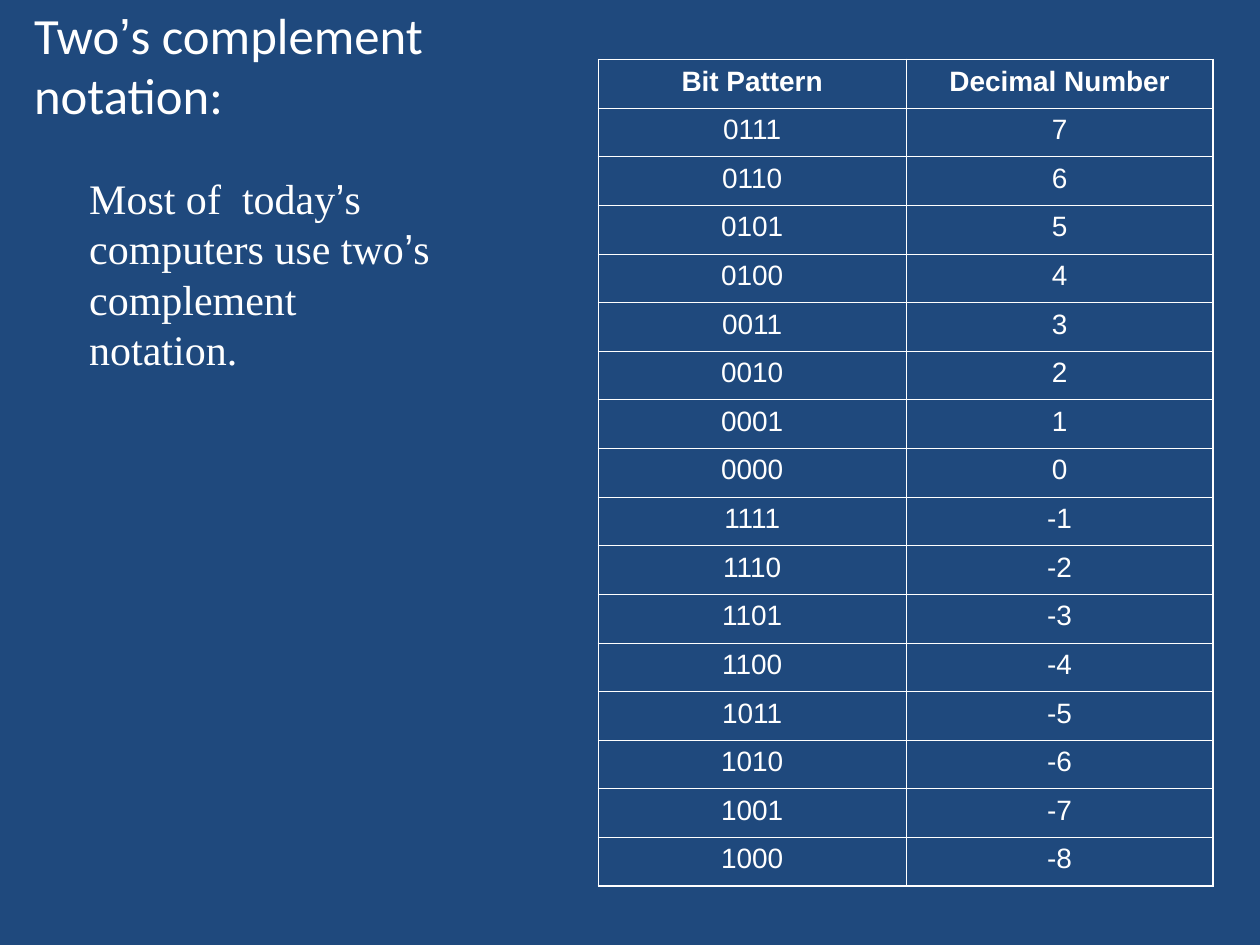
from pptx import Presentation, util as u
from pptx.dml import color
from pptx.enum import text
from pptx.oxml import ns
from lxml import etree

HUES = {"back": "1F497D", "ink": "FFFFFF"}
WIDE, HIGH = 10, 7.5
THIN, THICK = 0.45, 1.08


class Deck:
    def __init__(self):
        self.prs = Presentation()
        self.prs.slide_width = u.Inches(WIDE)
        self.prs.slide_height = u.Inches(HIGH)
        self.slide = self.prs.slides.add_slide(self.prs.slide_layouts[5])
        fill = self.slide.background.fill
        fill.solid()
        fill.fore_color.rgb = self.hue("back")

    def hue(self, name):
        return color.RGBColor.from_string(HUES[name])

    def box(self, x, y, w, h):
        return (u.Inches(x * WIDE), u.Inches(y * HIGH),
                u.Inches(w * WIDE), u.Inches(h * HIGH))

    def run(self, para, words, size, face, bold=False):
        run = para.add_run()
        run.text = words
        font = run.font
        font.size, font.name, font.bold = u.Pt(size), face, bold
        font.color.rgb = self.hue("ink")

    def quote(self, para, parts, size, face):
        for i, part in enumerate(parts):
            if i:
                self.run(para, "’", size, "Arial")
            self.run(para, part, size, face)

    def title(self, area, parts, last, size, face):
        shape = self.slide.shapes.title
        shape.left, shape.top, shape.width, shape.height = self.box(*area)
        frame = shape.text_frame
        frame.auto_size = text.MSO_AUTO_SIZE.NONE
        frame.vertical_anchor = text.MSO_ANCHOR.MIDDLE
        para = frame.paragraphs[0]
        para.alignment = text.PP_ALIGN.LEFT
        self.quote(para, parts, size, face)
        para.add_line_break()
        self.run(para, last, size, face)

    def note(self, area, parts, size, face):
        frame = self.slide.shapes.add_textbox(*self.box(*area)).text_frame
        frame.word_wrap = True
        frame.auto_size = text.MSO_AUTO_SIZE.SHAPE_TO_FIT_TEXT
        para = frame.paragraphs[0]
        para.space_before = u.Pt(15)
        self.quote(para, parts, size, face)

    def edge(self, cell, sides):
        props = cell._tc.get_or_add_tcPr()
        for i, (side, outer) in enumerate(sides.items()):
            line = etree.Element(ns.qn("a:ln" + side))
            line.set("w", str(int(u.Pt(THICK if outer else THIN))))
            fill = etree.SubElement(line, ns.qn("a:solidFill"))
            etree.SubElement(fill, ns.qn("a:srgbClr")).set("val", HUES["ink"])
            props.insert(i, line)

    def table(self, area, rows, size, face):
        tall, broad = len(rows), len(rows[0])
        grid = self.slide.shapes.add_table(tall, broad, *self.box(*area)).table
        grid.horz_banding = False
        for r, row in enumerate(rows):
            for c, words in enumerate(row):
                cell = grid.cell(r, c)
                cell.fill.background()
                para = cell.text_frame.paragraphs[0]
                para.alignment = text.PP_ALIGN.CENTER
                para.space_before = u.Pt(4)
                self.run(para, words, size, face, r == 0)
                self.edge(cell, {"L": c == 0, "R": c == broad - 1,
                                 "T": r == 0, "B": r == tall - 1})


def main():
    deck = Deck()
    deck.title((0.017, 0.023, 0.492, 0.09), ["Two", "s complement "],
               "notation:", 29, "Calibri")
    rows = [("Bit Pattern", "Decimal Number")]
    rows += [(f"{n % 16:04b}", str(n)) for n in range(7, -9, -1)]
    deck.table((0.475, 0.063, 0.488, 0.875), rows, 16, "Arial")
    deck.note((0.061, 0.176, 0.306, 0.227),
              ["Most of  today", "s computers use two",
               "s complement notation."], 24, "Times New Roman")
    deck.prs.save("out.pptx")


if __name__ == "__main__":
    main()
